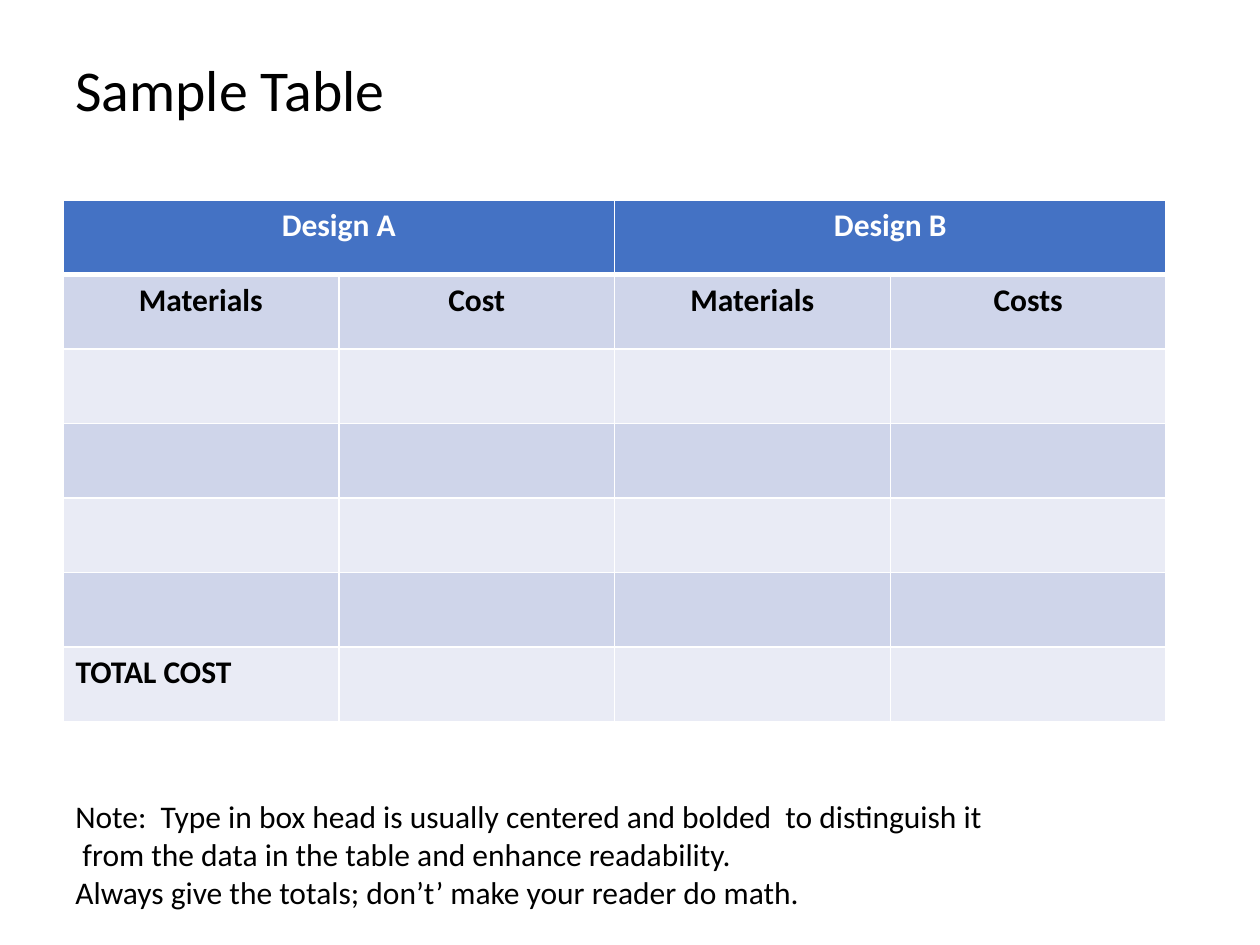
from dataclasses import dataclass

from lxml import etree
from pptx import Presentation
from pptx import util as u
from pptx.dml.color import RGBColor
from pptx.enum import text
from pptx.oxml.ns import qn


@dataclass(frozen=True)
class Theme:
    font: str = "Calibri"
    ink: str = "000000"
    white: str = "FFFFFF"
    header: str = "4472C4"
    bands: tuple = ("E9EBF5", "CFD5EA")
    title_size: int = 33
    body_size: int = 18
    thin: int = 1
    thick: int = 3


class PageBuilder:
    def __init__(self, page, theme):
        self.page = page
        self.theme = theme

    def add_span(self, para, words, size, color, bold=False):
        span = para.add_run()
        span.text = words
        span.font.name = self.theme.font
        span.font.size = u.Pt(size)
        span.font.bold = bold
        span.font.color.rgb = RGBColor.from_string(color)

    def text_box(self, left, top, width, height, lines, size,
                 anchor=text.MSO_ANCHOR.TOP, spacing=1.0):
        box = self.page.shapes.add_textbox(
            u.Cm(left), u.Cm(top), u.Cm(width), u.Cm(height))
        frame = box.text_frame
        frame.word_wrap = True
        frame.vertical_anchor = anchor
        for index, line in enumerate(lines):
            para = frame.add_paragraph() if index else frame.paragraphs[0]
            para.line_spacing = spacing
            self.add_span(para, line, size, self.theme.ink)

    def border(self, cell, side, width):
        properties = cell._tc.get_or_add_tcPr()
        line = etree.SubElement(properties, qn(f"a:ln{side}"), w=str(u.Pt(width)))
        fill = etree.SubElement(line, qn("a:solidFill"))
        etree.SubElement(fill, qn("a:srgbClr"), val=self.theme.white)

    def style_cell(self, cell, row):
        theme = self.theme
        heavy_side = {0: "B", 1: "T"}.get(row)
        for side in "LRTB":
            self.border(cell, side, theme.thick if side == heavy_side else theme.thin)
        cell.fill.solid()
        color = theme.bands[row % 2] if row else theme.header
        cell.fill.fore_color.rgb = RGBColor.from_string(color)

    def table(self, left, top, column_width, row_height, rows):
        theme = self.theme
        column_count = len(rows[0])
        grid = self.page.shapes.add_table(
            len(rows), column_count, u.Cm(left), u.Cm(top),
            u.Cm(column_width * column_count), u.Cm(row_height * len(rows))).table
        for row, entries in enumerate(rows):
            for column, words in enumerate(entries):
                cell = grid.cell(row, column)
                self.style_cell(cell, row)
                if words:
                    para = cell.text_frame.paragraphs[0]
                    if row < 2:
                        para.alignment = text.PP_ALIGN.CENTER
                    color = theme.ink if row else theme.white
                    self.add_span(para, words, theme.body_size, color, bold=True)
        for column in range(0, column_count, 2):
            grid.cell(0, column).merge(grid.cell(0, column + 1))


def main():
    deck = Presentation()
    deck.slide_width, deck.slide_height = u.Cm(25.4), u.Cm(19.05)
    theme = Theme()
    builder = PageBuilder(deck.slides.add_slide(deck.slide_layouts[6]), theme)

    builder.text_box(1.27, 0.76, 20.75, 2.21, ["Sample Table"], theme.title_size,
                     anchor=text.MSO_ANCHOR.MIDDLE, spacing=0.9)
    blank_row = [""] * 4
    builder.table(1.27, 4.04, 5.56, 1.5, [
        ["Design A", "", "Design B", ""],
        ["Materials", "Cost", "Materials", "Costs"],
        *[blank_row] * 4,
        ["TOTAL COST", "", "", ""],
    ])
    builder.text_box(1.27, 15.95, 21.67, 2.57, [
        "Note:  Type in box head is usually centered and bolded  to distinguish it",
        " from the data in the table and enhance readability.",
        "Always give the totals; don’t’ make your reader do math.",
    ], theme.body_size)

    deck.save("out.pptx")


if __name__ == "__main__":
    main()
